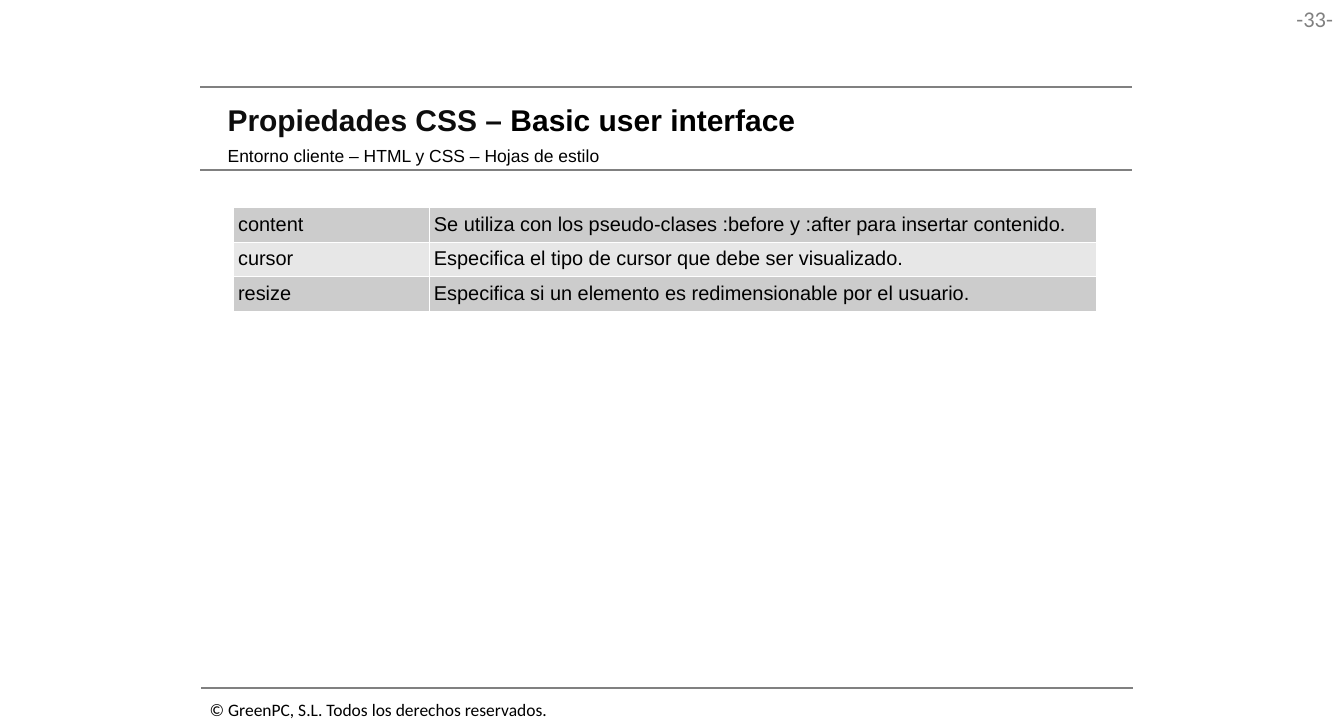
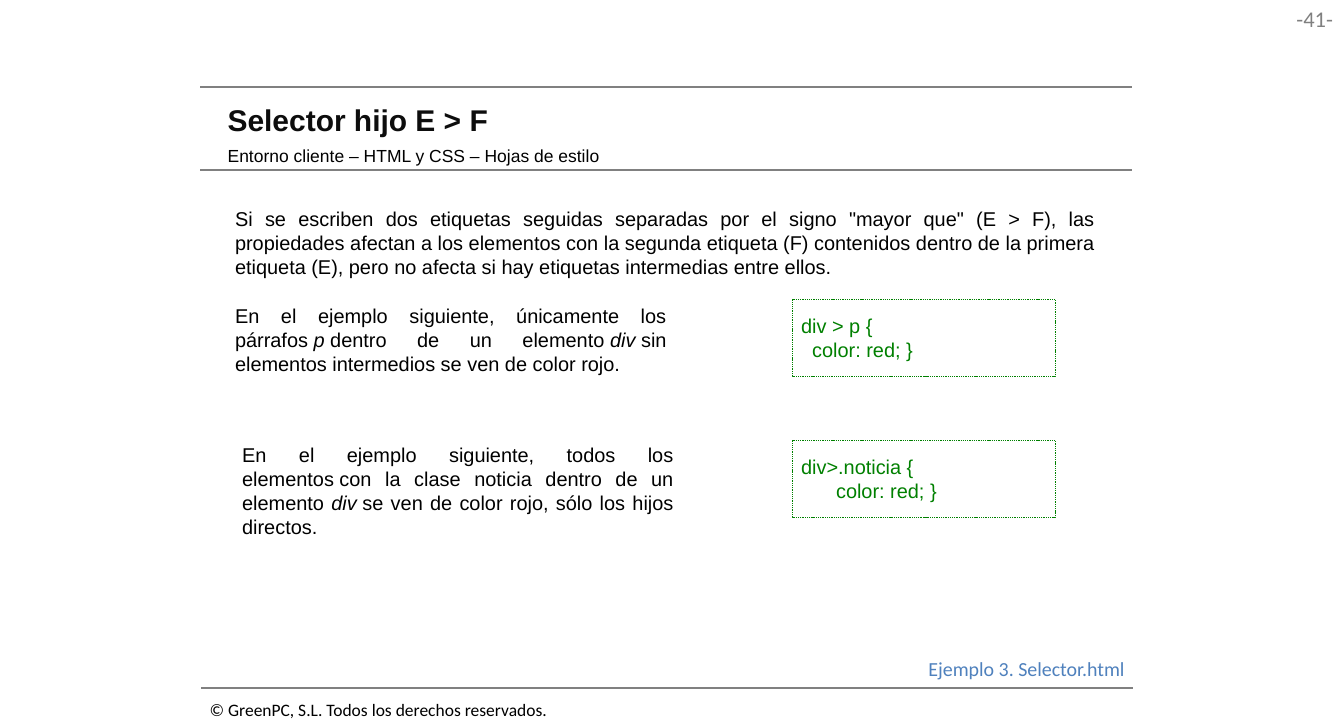
from lxml import etree
from pptx import Presentation
from pptx.dml.color import RGBColor
from pptx.enum import dml, shapes, text
from pptx.oxml.ns import qn
from pptx.util import Pt

BLACK = RGBColor(0, 0, 0)
INK = RGBColor(0x0D, 0x0D, 0x0D)
GRAY = RGBColor(0x80, 0x80, 0x80)
WHITE = RGBColor(0xFF, 0xFF, 0xFF)
GREEN = RGBColor(0, 0x80, 0)
BLUE = RGBColor(0x4F, 0x81, 0xBD)
BANDS = (RGBColor(0xCC, 0xCC, 0xCC), RGBColor(0xE7, 0xE7, 0xE7))
LEFT, RIGHT, JUST = text.PP_ALIGN.LEFT, text.PP_ALIGN.RIGHT, text.PP_ALIGN.JUSTIFY
MIDDLE = text.MSO_ANCHOR.MIDDLE
SIZE = (1077.12, 581.04)

# Content: text between asterisks is set apart (italic or a second colour),
# and a tilde is a space that does not break
SUB = "Entorno cliente – HTML y CSS – Hojas de estilo"
LEGAL = "© GreenPC, S.L. Todos los derechos reservados."
RULES = ((160.5, 69.5), (160.5, 136.6), (161.25, 551.5))
RULE_W = 746.6

PROPS = [
    ("content", "Se utiliza con los pseudo-clases :before y :after para insertar contenido."),
    ("cursor", "Especifica el tipo de cursor que debe ser visualizado."),
    ("resize", "Especifica si un elemento es redimensionable por el usuario."),
]
COLS = (157, 535)
ROW_H = 28

PROSE = [
    ((181.3, 162, 703.2, 66),
     'Si se escriben dos etiquetas seguidas separadas por el signo "mayor que" (E > F), '
     "las propiedades afectan a los elementos con la segunda etiqueta (F) contenidos dentro "
     "de la primera etiqueta (E), pero no afecta si hay etiquetas intermedias entre ellos."),
    ((181.3, 239.8, 360, 66),
     "En el ejemplo siguiente, únicamente los párrafos~*p*~dentro de un elemento~*div*~sin "
     "elementos intermedios se ven de color rojo."),
    ((187, 351.3, 360, 85),
     "En el ejemplo siguiente, todos los elementos~con la clase noticia dentro de un "
     "elemento *div*~se ven de color rojo, sólo los hijos directos."),
]
CODE = [
    (240, ["div > p {", "  color: red; }"]),
    (353, ["div>.noticia {", "  \tcolor: red; }"]),
]


def write(frame, lines, size, color=BLACK, font="Arial", align=LEFT, bold=False,
          second=None, tab=None):
    frame.word_wrap = True
    for i, line in enumerate(lines):
        para = frame.paragraphs[0] if i == 0 else frame.add_paragraph()
        para.alignment = align
        if tab:
            stops = etree.SubElement(para._p.get_or_add_pPr(), qn("a:tabLst"))
            etree.SubElement(stops, qn("a:tab"), pos=str(Pt(tab)), algn="l")
        for n, part in enumerate(line.replace("~", chr(160)).split("*")):
            run = para.add_run()
            run.text = part
            face = run.font
            face.name, face.size, face.bold = font, Pt(size), bold
            apart = n % 2 == 1
            face.italic = apart and second is None
            face.color.rgb = second if apart and second else color


def inset(item, side, top):
    item.margin_left = item.margin_right = Pt(side)
    item.margin_top = item.margin_bottom = Pt(top)


def label(slide, box, line, size, pad=(7.2, 3.6), anchor=None, **style):
    frame = slide.shapes.add_textbox(*map(Pt, box)).text_frame
    inset(frame, *pad)
    if anchor:
        frame.vertical_anchor = anchor
    write(frame, [line], size, **style)


def start(deck, number, title):
    """Add a slide with the shared rules, heading, footer and number."""
    slide = deck.slides.add_slide(deck.slide_layouts[6])
    label(slide, (1017.2, 0.6, 59, 29.5), f"-{number}-", 18, pad=(8, 3.6),
          color=GRAY, font="Calibri", align=RIGHT)
    for x, y in RULES:
        rule = slide.shapes.add_connector(
            shapes.MSO_CONNECTOR.STRAIGHT, Pt(x), Pt(y), Pt(x + RULE_W), Pt(y))
        rule.line.color.rgb = GRAY
        rule.line.width = Pt(1.5)
        etree.SubElement(rule._element.spPr, qn("a:effectLst"))
    label(slide, (160.9, 556.5, 300, 24.5), LEGAL, 14, font="Calibri")
    label(slide, (173, 76.4, 728.5, 39), title, 24, pad=(9.4, 5), anchor=MIDDLE,
          color=INK, bold=True, second=BLACK)
    label(slide, (173, 111.6, 547, 26.6), SUB, 14, pad=(9.4, 5), anchor=MIDDLE)
    return slide


def border(cell):
    props = cell._tc.get_or_add_tcPr()
    for side in ("lnL", "lnR", "lnT", "lnB"):
        line = etree.SubElement(props, qn("a:" + side), w=str(Pt(1)))
        fill = etree.SubElement(line, qn("a:solidFill"))
        etree.SubElement(fill, qn("a:srgbClr"), val=str(WHITE))


def grid(slide):
    table = slide.shapes.add_table(
        len(PROPS), len(COLS), Pt(187.2), Pt(166),
        Pt(sum(COLS)), Pt(ROW_H * len(PROPS))).table
    table.first_row = table.horz_banding = False
    for col, width in zip(table.columns, COLS):
        col.width = Pt(width)
    for r, row in enumerate(PROPS):
        table.rows[r].height = Pt(ROW_H)
        for c, words in enumerate(row):
            cell = table.cell(r, c)
            border(cell)
            cell.fill.solid()
            cell.fill.fore_color.rgb = BANDS[r % 2]
            inset(cell, 3.6, 4.8)
            cell.margin_bottom = Pt(3.6)
            write(cell.text_frame, [words], 16)


def code(slide, top, lines):
    box = slide.shapes.add_shape(
        shapes.MSO_SHAPE.RECTANGLE, Pt(635), Pt(top), Pt(211), Pt(61.5))
    box.shadow.inherit = False
    box.fill.solid()
    box.fill.fore_color.rgb = WHITE
    box.line.color.rgb = GREEN
    box.line.width = Pt(0.25)
    box.line.dash_style = dml.MSO_LINE.DASH
    inset(box.text_frame, 7.2, 11.5)
    box.text_frame.vertical_anchor = text.MSO_ANCHOR.TOP
    write(box.text_frame, lines, 16, color=GREEN, tab=28)


def main():
    deck = Presentation()
    deck.slide_width, deck.slide_height = map(Pt, SIZE)

    # Property table
    grid(start(deck, 33, "Propiedades CSS – *Basic user interface*"))

    # Child selector
    slide = start(deck, 41, "Selector hijo E > F")
    label(slide, (737, 522.7, 180, 26.6), "Ejemplo 3. Selector.html", 16,
          color=BLUE, font="Calibri")
    for box, words in PROSE:
        label(slide, box, words, 16, align=JUST)
    for top, lines in CODE:
        code(slide, top, lines)

    deck.save("out.pptx")


if __name__ == "__main__":
    main()
